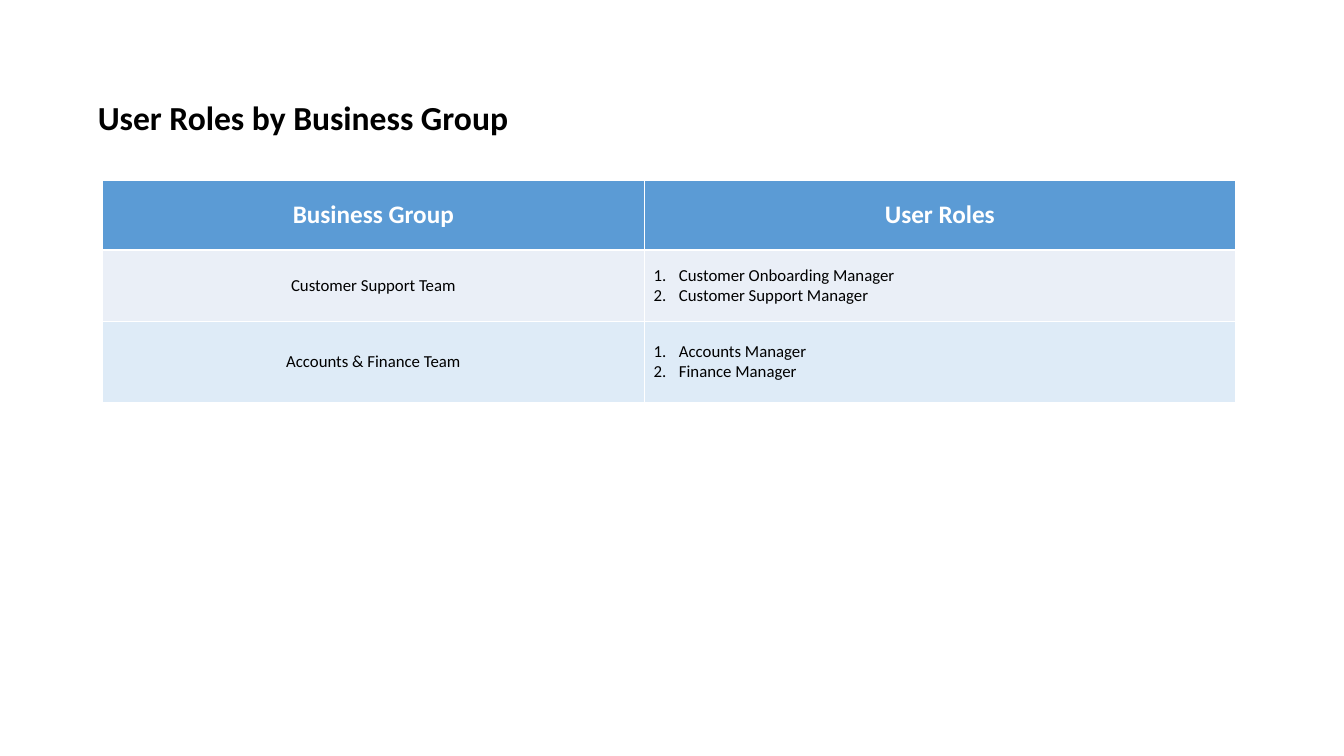
from lxml import etree
from pptx import Presentation
from pptx.dml.color import RGBColor
from pptx.enum import text
from pptx.oxml import ns
from pptx.util import Cm, Pt

FONT = "Calibri"
WHITE = RGBColor(0xFF, 0xFF, 0xFF)
BLACK = RGBColor(0, 0, 0)
BLUE = RGBColor(0x5B, 0x9B, 0xD5)
MIST = RGBColor(0xEA, 0xEF, 0xF7)
PALE = RGBColor(0xDE, 0xEB, 0xF7)

HEADS = ("Business Group", "User Roles")
GROUPS = (
    ("Customer Support Team",
     ("Customer Onboarding Manager", "Customer Support Manager")),
    ("Accounts & Finance Team", ("Accounts Manager", "Finance Manager")),
)
WIDTHS = (Cm(13.64), Cm(14.91))
HEIGHTS = (Cm(1.75), Cm(1.8), Cm(2.03))
THIN, THICK = Pt(0.53), Pt(1.6)


def style(para, size, color, bold=False):
    font = para.font
    font.name, font.size, font.bold = FONT, Pt(size), bold
    font.color.rgb = color


def number(para):
    """Turn the paragraph into an item of a numbered list."""
    props = para._p.get_or_add_pPr()
    props.set("marL", str(Cm(0.64)))
    props.set("indent", str(-Cm(0.64)))
    etree.SubElement(props, ns.qn("a:buFont"), typeface="+mj-lt")
    etree.SubElement(props, ns.qn("a:buAutoNum"), type="arabicPeriod")


def border(cell, top, bottom):
    props = cell._tc.get_or_add_tcPr()
    for side, width in zip("LRTB", (THIN, THIN, top, bottom)):
        line = etree.SubElement(props, ns.qn(f"a:ln{side}"), w=str(width))
        fill = etree.SubElement(line, ns.qn("a:solidFill"))
        etree.SubElement(fill, ns.qn("a:srgbClr"), val=str(WHITE))


def write(cell, lines, fill, size=12, color=BLACK, bold=False, listed=False):
    cell.text = "\n".join(lines)
    cell.vertical_anchor = text.MSO_ANCHOR.MIDDLE
    cell.margin_left = cell.margin_right = Cm(0.24)
    cell.margin_top = cell.margin_bottom = Cm(0.11)
    for para in cell.text_frame.paragraphs:
        if listed:
            number(para)
        else:
            para.alignment = text.PP_ALIGN.CENTER
        style(para, size, color, bold)
    cell.fill.solid()
    cell.fill.fore_color.rgb = fill


def head(slide):
    title = slide.shapes.title
    title.left, title.top = Cm(2.21), Cm(2.31)
    title.width, title.height = Cm(12.09), Cm(1.27)
    frame = title.text_frame
    frame.text = "User Roles by Business Group"
    frame.word_wrap = True
    frame.vertical_anchor = text.MSO_ANCHOR.TOP
    para = frame.paragraphs[0]
    para.alignment = text.PP_ALIGN.LEFT
    style(para, 24, BLACK, True)


def roles(slide):
    table = slide.shapes.add_table(
        len(HEIGHTS), len(WIDTHS), Cm(2.59), Cm(4.55),
        sum(WIDTHS), sum(HEIGHTS)).table
    for col, width in zip(table.columns, WIDTHS):
        col.width = width
    for i, (row, height) in enumerate(zip(table.rows, HEIGHTS)):
        row.height = height
        for cell in row.cells:
            border(cell, THICK if i == 1 else THIN, THICK if i == 0 else THIN)
    for i, name in enumerate(HEADS):
        write(table.cell(0, i), [name], BLUE, 18, WHITE, True)
    for i, (group, names) in enumerate(GROUPS, 1):
        fill = MIST if i % 2 else PALE
        write(table.cell(i, 0), [group], fill)
        write(table.cell(i, 1), names, fill, listed=True)


def main():
    deck = Presentation()
    deck.slide_width, deck.slide_height = Cm(33.87), Cm(19.05)
    slide = deck.slides.add_slide(deck.slide_layouts.get_by_name("Title Only"))
    head(slide)
    roles(slide)
    deck.save("out.pptx")


if __name__ == "__main__":
    main()
